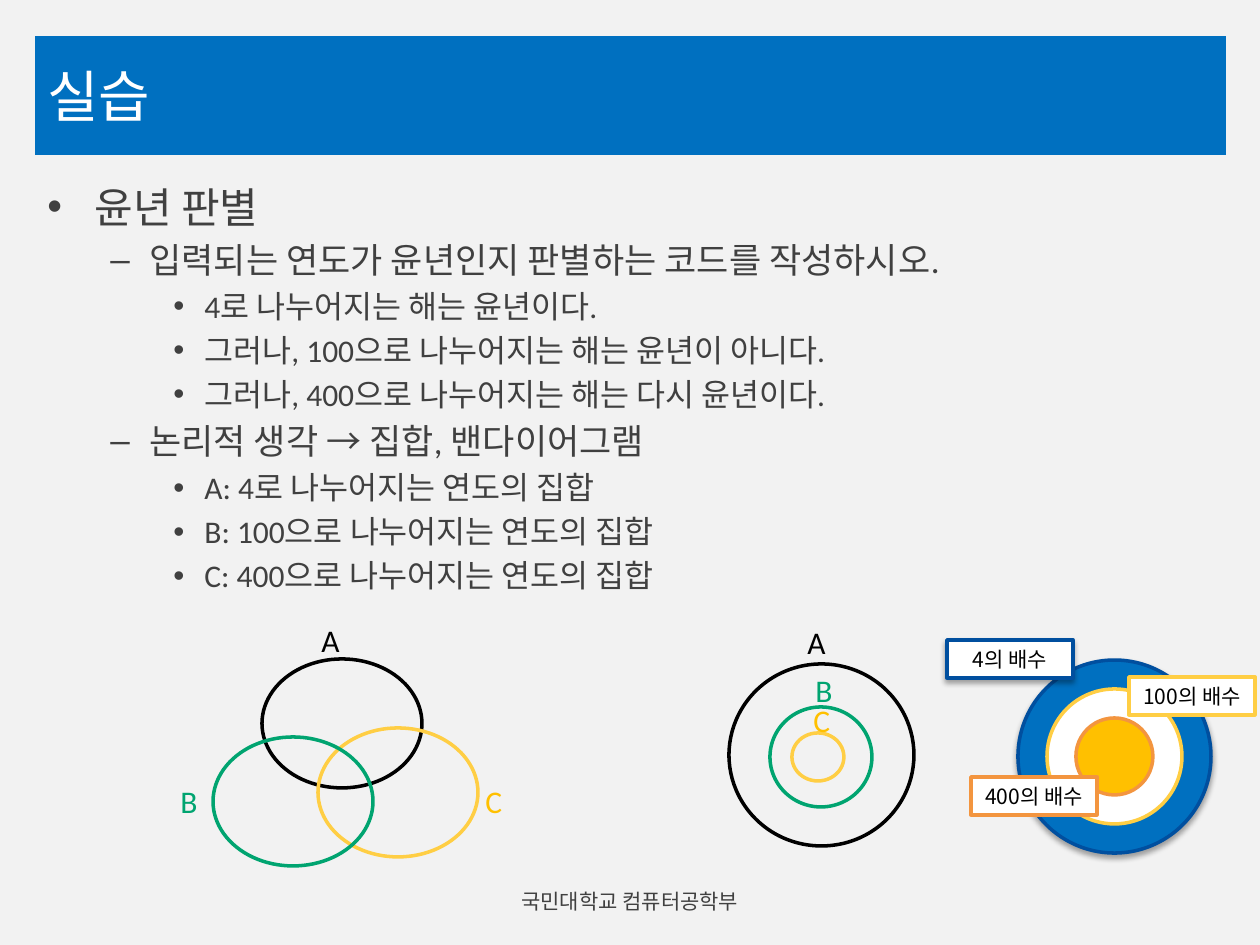
"""Build the leap-year exercise slide with its set diagrams."""
from lxml import etree
from pptx import Presentation, util as u
from pptx.dml.color import RGBColor
from pptx.enum import shapes, text
from pptx.oxml.ns import qn

PX = 914400 // 126
BLUE, NAVY = RGBColor(0x00, 0x70, 0xC0), RGBColor(0x00, 0x4F, 0x9F)
GREEN, GOLD = RGBColor(0x00, 0xA4, 0x70), RGBColor(0xFF, 0xC0, 0x00)
YELLOW, ORANGE = RGBColor(0xFF, 0xCE, 0x44), RGBColor(0xF3, 0x95, 0x3F)
BLACK, WHITE = RGBColor(0, 0, 0), RGBColor(0xFF, 0xFF, 0xFF)
GRAY, PALE = RGBColor(0x40, 0x40, 0x40), RGBColor(0xF2, 0xF2, 0xF2)
OVAL, RECT = shapes.MSO_SHAPE.OVAL, shapes.MSO_SHAPE.RECTANGLE
CENTER, MIDDLE = text.PP_ALIGN.CENTER, text.MSO_ANCHOR.MIDDLE

TITLE = "실습"
FOOTER = "국민대학교 컴퓨터공학부"
BODY = [
    (0, "윤년 판별"),
    (1, "입력되는 연도가 윤년인지 판별하는 코드를 작성하시오."),
    (2, "4로 나누어지는 해는 윤년이다."),
    (2, "그러나, 100으로 나누어지는 해는 윤년이 아니다."),
    (2, "그러나, 400으로 나누어지는 해는 다시 윤년이다."),
    (1, "논리적 생각 → 집합, 밴다이어그램"),
    (2, "A: 4로 나누어지는 연도의 집합"),
    (2, "B: 100으로 나누어지는 연도의 집합"),
    (2, "C: 400으로 나누어지는 연도의 집합"),
]
LEVELS = [(24, 47, 47, "•"), (20, 102, 39, "–"), (18, 157, 31, "•")]
SET_OVALS = [
    (262, 659, 160, 129, BLACK), (318, 728, 160, 129, YELLOW), (213, 737, 160, 129, GREEN),
    (729, 664, 185, 182, BLACK), (792, 733, 52, 48, YELLOW), (770, 707, 102, 100, GREEN),
]
SET_NAMES = [
    ("A", 309, 615, BLACK), ("B", 168, 776, GREEN), ("C", 473, 776, GOLD),
    ("A", 795, 617, BLACK), ("B", 803, 665, GREEN), ("C", 801, 695, GOLD),
]
RING_CENTER = (1114, 756)
RINGS = [(193, BLUE, NAVY, True), (135, WHITE, YELLOW, False), (77, GOLD, ORANGE, False)]
TAGS = [
    ("4의 배수", 947, 640, NAVY, True),
    ("100의 배수", 1129, 677, YELLOW, False),
    ("400의 배수", 971, 777, ORANGE, False),
]


def add_shape(slide, kind, box, fill=None, line=None, shadow=False):
    sp = slide.shapes.add_shape(kind, *(v * PX for v in box))
    sp.shadow.inherit = False
    if fill is None:
        sp.fill.background()
    else:
        sp.fill.solid()
        sp.fill.fore_color.rgb = fill
    if line is None:
        sp.line.fill.background()
    else:
        sp.line.color.rgb = line
        sp.line.width = u.Pt(2)
    if shadow:
        effects = sp._element.spPr.find(qn("a:effectLst"))
        outer = etree.SubElement(effects, qn("a:outerShdw"), blurRad=str(u.Pt(3)),
                                 dist=str(u.Pt(1.8)), dir="5400000", rotWithShape="0")
        color = etree.SubElement(outer, qn("a:srgbClr"), val="000000")
        etree.SubElement(color, qn("a:alpha"), val="35000")
    return sp


def add_textbox(slide, box):
    sp = slide.shapes.add_textbox(*(v * PX for v in box))
    sp.text_frame.word_wrap = True
    return sp


def write(p, words, size, color, font, align=text.PP_ALIGN.LEFT):
    p.alignment = align
    r = p.add_run()
    r.text = words
    r.font.size, r.font.name = u.Pt(size), font
    r.font.color.rgb = color


def add_body(slide):
    tf = add_textbox(slide, (35, 175, 1191, 665)).text_frame
    for i, (level, words) in enumerate(BODY):
        size, margin, hang, bullet = LEVELS[level]
        p = tf.add_paragraph() if i else tf.paragraphs[0]
        p.level = level
        p.space_before = u.Pt(round(size * 0.2, 1))
        write(p, words, size, GRAY, "Calibri")
        pPr = p._p.get_or_add_pPr()
        pPr.set("marL", str(margin * PX))
        pPr.set("indent", str(-hang * PX))
        etree.SubElement(pPr, qn("a:buFont"), typeface="Arial")
        etree.SubElement(pPr, qn("a:buChar"), char=bullet)


def add_tag(slide, words, x, y, line, shadow):
    tf = add_shape(slide, RECT, (x, y, 126, 38), WHITE, line, shadow).text_frame
    tf.margin_left = tf.margin_right = tf.margin_top = tf.margin_bottom = u.Inches(0.05)
    tf.word_wrap, tf.vertical_anchor = True, MIDDLE
    write(tf.paragraphs[0], words, 12, BLACK, "Noto Sans CJK KR", CENTER)


def main():
    prs = Presentation()
    prs.slide_width, prs.slide_height = u.Inches(10), u.Inches(7.5)
    slide = prs.slides.add_slide(prs.slide_layouts[6])
    slide.background.fill.solid()
    slide.background.fill.fore_color.rgb = PALE

    tf = add_shape(slide, RECT, (35, 36, 1191, 119), BLUE).text_frame
    tf.vertical_anchor = MIDDLE
    write(tf.paragraphs[0], TITLE, 32, WHITE, "Roboto")
    add_body(slide)
    tf = add_textbox(slide, (392, 876, 476, 50)).text_frame
    tf.vertical_anchor = MIDDLE
    write(tf.paragraphs[0], FOOTER, 12, GRAY, "Roboto", CENTER)

    for *box, line in SET_OVALS:
        add_shape(slide, OVAL, box, line=line)
    for name, x, y, color in SET_NAMES:
        tf = add_textbox(slide, (x, y, 57, 50)).text_frame
        write(tf.paragraphs[0], name, 18, color, "Calibri")
    cx, cy = RING_CENTER
    for d, fill, line, shadow in RINGS:
        add_shape(slide, OVAL, (cx - d // 2, cy - d // 2, d, d), fill, line, shadow)
    for tag in TAGS:
        add_tag(slide, *tag)
    prs.save("out.pptx")


if __name__ == "__main__":
    main()
